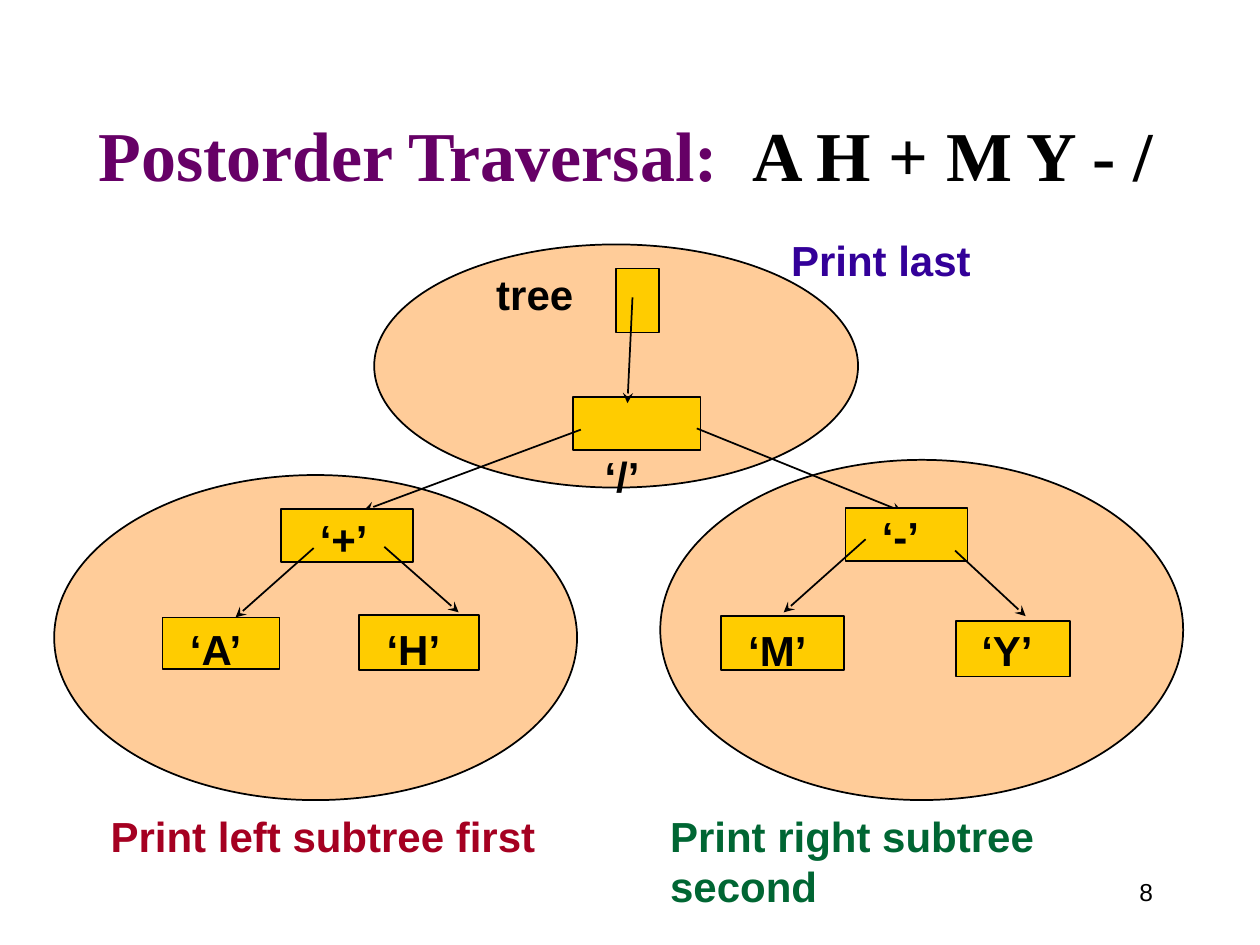
from dataclasses import dataclass

from lxml import etree
from pptx import Presentation
from pptx.dml.color import RGBColor
from pptx.enum.shapes import MSO_CONNECTOR, MSO_SHAPE
from pptx.enum.text import MSO_ANCHOR, PP_ALIGN
from pptx.oxml.ns import qn
from pptx.util import Inches, Pt

OVAL, RECT = MSO_SHAPE.OVAL, MSO_SHAPE.RECTANGLE
STRAIGHT = MSO_CONNECTOR.STRAIGHT
BOTTOM, MIDDLE, TOP = MSO_ANCHOR.BOTTOM, MSO_ANCHOR.MIDDLE, MSO_ANCHOR.TOP
CENTER, LEFT, RIGHT = PP_ALIGN.CENTER, PP_ALIGN.LEFT, PP_ALIGN.RIGHT


@dataclass(frozen=True)
class Theme:
    ink: RGBColor = RGBColor(0, 0, 0)
    title: RGBColor = RGBColor.from_string("660066")
    group: RGBColor = RGBColor.from_string("FFCC99")
    node: RGBColor = RGBColor.from_string("FFCC00")
    first: RGBColor = RGBColor.from_string("A50021")
    second: RGBColor = RGBColor.from_string("006633")
    last: RGBColor = RGBColor.from_string("330099")
    heading_font: str = "Times New Roman"
    body_font: str = "Arial"
    title_size: Pt = Pt(40)
    label_size: Pt = Pt(24)
    number_size: Pt = Pt(14)
    line: Pt = Pt(1)


theme = Theme()
prs = Presentation()
prs.slide_width, prs.slide_height = Inches(10), Inches(7.5)
s = prs.slides.add_slide(prs.slide_layouts[5])


def add_shape(kind, box, color):
    sp = s.shapes.add_shape(kind, *map(Inches, box))
    sp.shadow.inherit = False
    sp.fill.solid()
    sp.fill.fore_color.rgb = color
    sp.line.color.rgb = theme.ink
    sp.line.width = theme.line


def add_text(text, box, color=theme.ink, size=theme.label_size,
             bold=True, align=LEFT, anchor=TOP):
    tf = s.shapes.add_textbox(*map(Inches, box)).text_frame
    tf.word_wrap = True
    tf.vertical_anchor = anchor
    p = tf.paragraphs[0]
    p.text = text
    p.alignment = align
    p.font.name, p.font.size, p.font.bold = theme.body_font, size, bold
    p.font.color.rgb = color


title = s.shapes.title
title.left, title.top = Inches(0.31), Inches(0.35)
title.width, title.height = Inches(9.31), Inches(1.25)
tf = title.text_frame
tf.word_wrap = True
tf.vertical_anchor = BOTTOM
p = tf.paragraphs[0]
p.alignment = CENTER
p.font.name, p.font.size, p.font.bold = theme.heading_font, theme.title_size, True
for text, color in [("Postorder Traversal:  ", theme.title),
                    ("A H + M Y - /", theme.ink)]:
    r = p.add_run()
    r.text = text
    r.font.color.rgb = color

for box in [(5.24, 3.65, 4.15, 2.7), (2.97, 1.94, 3.84, 1.93),
            (0.43, 3.77, 4.15, 2.58)]:
    add_shape(OVAL, box, theme.group)

root_nodes = [(4.89, 2.13, 0.34, 0.51), (4.55, 3.15, 1.01, 0.42)]
root_edges = [(5.02, 2.36, 4.98, 3.2), (4.61, 3.41, 2.89, 4.05),
              (5.53, 3.4, 7.16, 4.06)]
subtree_nodes = [(2.23, 4.04, 1.05, 0.42), (1.29, 4.9, 0.93, 0.41),
                 (2.85, 4.88, 0.95, 0.44), (6.71, 4.03, 0.97, 0.42),
                 (5.72, 4.89, 0.98, 0.43), (7.59, 4.93, 0.9, 0.44)]
subtree_edges = [(2.49, 4.35, 1.87, 4.9), (3.05, 4.34, 3.64, 4.86),
                 (6.87, 4.28, 6.22, 4.86), (7.58, 4.37, 8.14, 4.89)]

for nodes, edges in [(root_nodes, root_edges), (subtree_nodes, subtree_edges)]:
    for box in nodes:
        add_shape(RECT, box, theme.node)
    for ends in edges:
        edge = s.shapes.add_connector(STRAIGHT, *map(Inches, ends))
        edge.line.color.rgb = theme.ink
        edge.line.width = theme.line
        etree.SubElement(edge.line._get_or_add_ln(), qn("a:tailEnd"), type="stealth")
        etree.SubElement(edge._element.spPr, qn("a:effectLst"))

for text, x, y, w in [("tree", 3.84, 2.08, 0.9), ("‘/’", 4.7, 3.53, 0.57),
                      ("‘+’", 2.44, 4.03, 0.7), ("‘-’", 6.9, 4, 0.59),
                      ("‘A’", 1.41, 4.9, 0.7), ("‘H’", 2.97, 4.9, 0.7),
                      ("‘M’", 5.84, 4.91, 0.76), ("‘Y’", 7.69, 4.91, 0.7)]:
    add_text(text, (x, y, w, 0.5))

add_text("Print left subtree first", (0.78, 6.38, 3.7, 0.5), theme.first)
add_text("Print right subtree second", (5.22, 6.38, 4.2, 0.5), theme.second)
add_text("Print last", (6.18, 1.81, 1.75, 0.5), theme.last)
add_text("8", (8.58, 6.83, 0.67, 0.5), size=theme.number_size,
         bold=False, align=RIGHT, anchor=MIDDLE)

prs.save("out.pptx")
